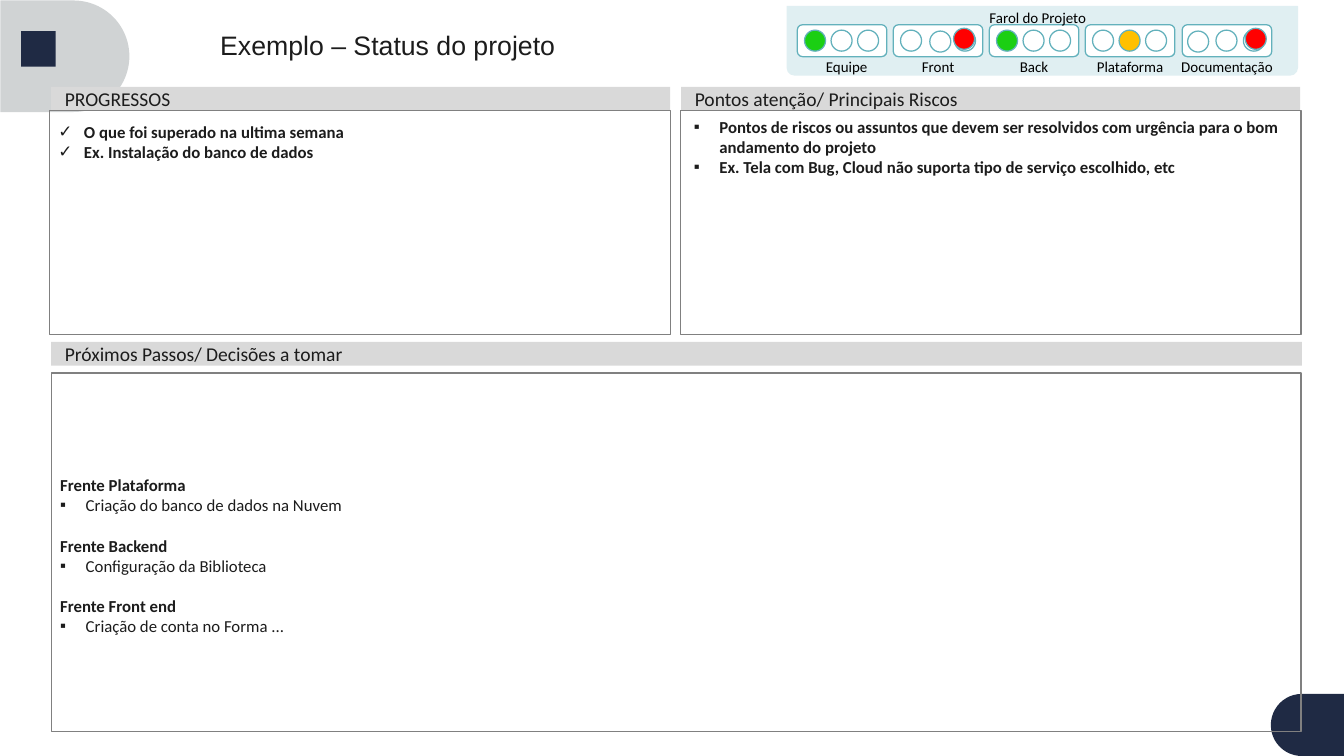
from lxml.etree import SubElement
from pptx import Presentation
from pptx.dml.color import RGBColor
from pptx.enum.shapes import MSO_SHAPE
from pptx.enum.text import MSO_ANCHOR, MSO_AUTO_SIZE, PP_ALIGN
from pptx.oxml.ns import qn
from pptx.util import Emu, Pt

PX = 9144  # EMU per px, 100 px to the inch
NAVY, GREY, TEAL, PALE = "1F2A44", "D0D3D4", "63B1BC", "E0EFF2"
INK, BLACK, WHITE, BAND, FRAME = "1C1C1C", "000000", "FFFFFF", "D9D9D9", "808080"
GREEN, YELLOW, RED = "1BCF13", "FFC000", "FF0000"
INDENT = 28
LIGHT_WIDTH, LABEL_WIDTH = 98, 122
FRAME_INSETS = (10, 12, 10, 5)

# Each light: name, box left, label shift, lamps as (shift, top, fill)
LIGHTS = [
    ("Documentação", 1293, 0, [(37, 33, None), (67, 33, WHITE),
                               (69, 31, RED), (6, 34, None)]),
    ("Plataforma", 1187, 0, [(8, 33, None), (37, 33, YELLOW), (66, 33, None)]),
    ("Back", 1082, 0, [(8, 33, GREEN), (37, 33, None), (66, 33, None)]),
    ("Front", 977, 0, [(8, 33, WHITE), (67, 33, WHITE),
                       (66, 31, RED), (40, 34, WHITE)]),
    ("Equipe", 872, 5, [(8, 33, GREEN), (37, 33, None), (66, 33, None)]),
]
PROGRESS = ["O que foi superado na ultima semana", "Ex. Instalação do banco de dados"]
RISKS = [
    "Pontos de riscos ou assuntos que devem ser resolvidos com urgência "
    "para o bom andamento do projeto",
    "Ex. Tela com Bug, Cloud não suporta tipo de serviço escolhido, etc",
]
NEXT_STEPS = [
    ("Frente Plataforma", "Criação do banco de dados na Nuvem"),
    ("Frente Backend", "Configuração da Biblioteca"),
    ("Frente Front end", "Criação de conta no Forma ..."),
]


def color(hex_string):
    return RGBColor.from_string(hex_string)


def place(*lengths):
    return [Emu(length * PX) for length in lengths]


def add_box(page, kind, at, fill=None, line=None, rotation=0, round_ratio=None):
    box = page.shapes.add_shape(kind, *place(*at))
    box.shadow.inherit = False
    box.rotation = rotation
    if round_ratio is not None:
        box.adjustments[0] = round_ratio
    if fill:
        box.fill.solid()
        box.fill.fore_color.rgb = color(fill)
    else:
        box.fill.background()
    if line:
        box.line.color.rgb = color(line)
        box.line.width = Pt(1)
    else:
        box.line.fill.background()
    return box


def set_frame(box, insets, anchor=MSO_ANCHOR.TOP):
    frame = box.text_frame
    frame.word_wrap = True
    frame.vertical_anchor = anchor
    (frame.margin_left, frame.margin_top,
     frame.margin_right, frame.margin_bottom) = place(*insets)
    return frame


def add_para(frame, text, size, ink=INK, font="Calibri", bold=False,
             align=PP_ALIGN.LEFT, bullet=None, space_before=0):
    first = frame.paragraphs[0]
    para = frame.add_paragraph() if first.runs else first
    para.alignment = align
    para.space_before = Pt(space_before)
    span = para.add_run()
    span.text = text
    span.font.size = Pt(size)
    span.font.name = font
    span.font.bold = bold
    span.font.color.rgb = color(ink)
    if bullet:
        properties = para._p.get_or_add_pPr()
        properties.set("marL", str(INDENT * PX))
        properties.set("indent", str(-INDENT * PX))
        SubElement(properties, qn("a:buFont")).set("typeface", "Arial")
        SubElement(properties, qn("a:buChar")).set("char", bullet)


def add_text_box(page, at):
    box = page.shapes.add_textbox(*place(*at))
    frame = set_frame(box, (10, 5, 10, 5))
    frame.auto_size = MSO_AUTO_SIZE.SHAPE_TO_FIT_TEXT
    return frame


def add_label(page, text, light_left, top):
    """Centre a one-line label on a light; it may be wider than the light."""
    left = light_left - (LABEL_WIDTH - LIGHT_WIDTH) // 2
    box = page.shapes.add_textbox(*place(left, top, LABEL_WIDTH, 20))
    frame = set_frame(box, (0, 0, 0, 0), MSO_ANCHOR.BOTTOM)
    add_para(frame, text, 11.8, BLACK, align=PP_ALIGN.CENTER)


def add_header(page, text, at):
    box = add_box(page, MSO_SHAPE.RECTANGLE, at, BAND)
    frame = set_frame(box, (15, 7, 15, 7), MSO_ANCHOR.MIDDLE)
    add_para(frame, text, 15.4)


def add_light(page, name, left, label_shift, lamps):
    add_box(page, MSO_SHAPE.ROUNDED_RECTANGLE, (left, 27, LIGHT_WIDTH, 35), WHITE, TEAL)
    for shift, top, fill in lamps:
        add_box(page, MSO_SHAPE.OVAL, (left + shift, top, 23, 23), fill, TEAL)
    add_label(page, name, left + label_shift, 63)


def main():
    deck = Presentation()
    deck.slide_width, deck.slide_height = place(1470, 827)
    page = deck.slides.add_slide(deck.slide_layouts[6])

    # Corner decoration and emblem
    tab = MSO_SHAPE.ROUND_2_SAME_RECTANGLE
    add_box(page, tab, (1396, 753, 68, 80), NAVY, rotation=270, round_ratio=0.5)
    add_box(page, tab, (10, -9, 122, 141), GREY, rotation=90, round_ratio=0.5)
    add_box(page, MSO_SHAPE.RECTANGLE, (23, 34, 38, 39), NAVY)

    # Title
    add_para(add_text_box(page, (231, 27, 472, 45)),
             "Exemplo – Status do projeto", 21, font="Arial")

    # Project traffic lights
    add_box(page, tab, (861, 7, 558, 75), PALE, PALE, rotation=180, round_ratio=0.106)
    for light in LIGHTS:
        add_light(page, *light)
    add_label(page, "Farol do Projeto", 1086, 9)

    # Section headers
    add_header(page, "PROGRESSOS", (56, 95, 677, 26))
    add_header(page, "Pontos atenção/ Principais Riscos", (745, 95, 677, 26))
    add_header(page, "Próximos Passos/ Decisões a tomar", (56, 374, 1368, 26))

    # Progress
    progress = add_box(page, MSO_SHAPE.RECTANGLE, (54, 121, 679, 245), line=FRAME)
    frame = set_frame(progress, FRAME_INSETS)
    for text in PROGRESS:
        add_para(frame, text, 13.2, bold=True, bullet="✓")

    # Risks
    add_box(page, MSO_SHAPE.RECTANGLE, (744, 121, 679, 245), line=FRAME)
    frame = add_text_box(page, (749, 123, 674, 77))
    for text in RISKS:
        add_para(frame, text, 13.2, bold=True, bullet="▪")

    # Next steps
    steps = add_box(page, MSO_SHAPE.RECTANGLE, (56, 408, 1367, 392), line=FRAME)
    frame = set_frame(steps, FRAME_INSETS, MSO_ANCHOR.MIDDLE)
    frame._txBody.bodyPr.set("numCol", "3")
    for index, (front, task) in enumerate(NEXT_STEPS):
        add_para(frame, front, 13.2, bold=True, space_before=16 if index else 0)
        add_para(frame, task, 13.2, bullet="▪")

    deck.save("out.pptx")


if __name__ == "__main__":
    main()
